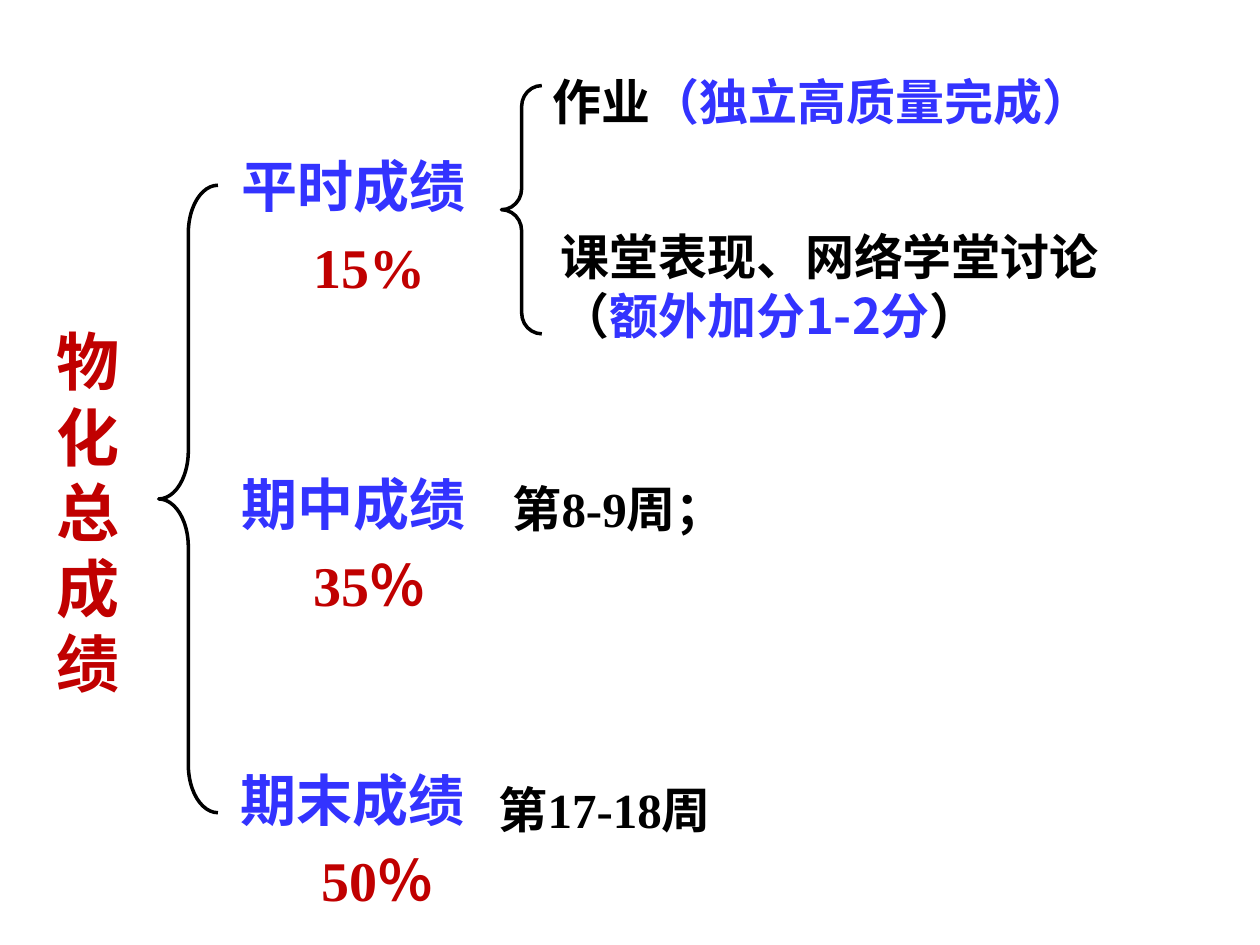
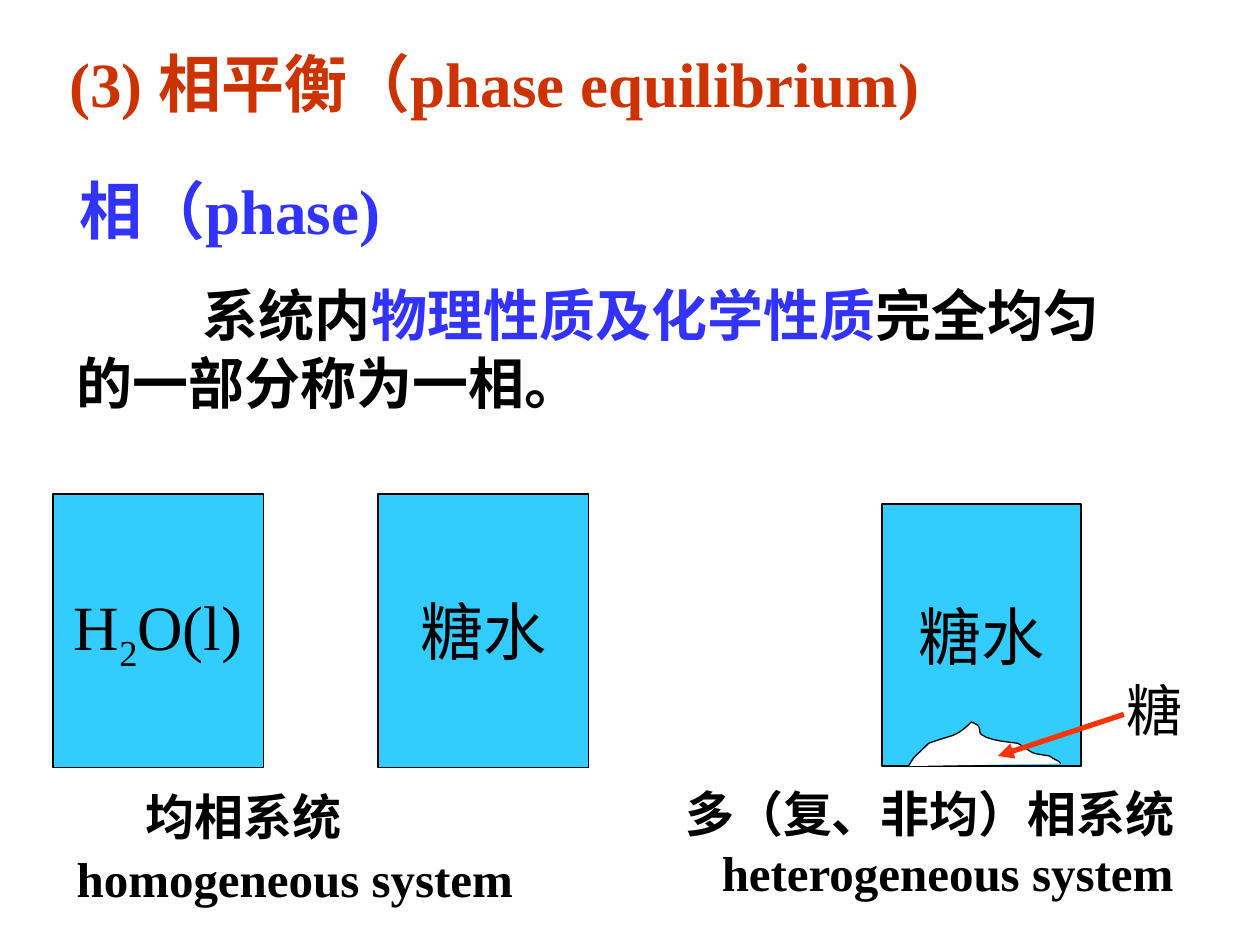
from dataclasses import dataclass

from lxml import etree
from pptx import Presentation
from pptx import util as u
from pptx.dml.color import RGBColor
from pptx.enum import shapes, text
from pptx.oxml import ns

COLORS = {
    "black": "000000",
    "white": "FFFFFF",
    "blue": "3333FF",
    "crimson": "C00000",
    "rust": "CC3300",
    "water": "33CCFF",
    "arrow": "FF3300",
}
SANS = "Noto Sans CJK SC"
SERIF = "Times New Roman"
LEFT, CENTER = text.PP_ALIGN.LEFT, text.PP_ALIGN.CENTER


@dataclass
class Run:
    text: str
    size: float = 28
    color: str = "black"
    font: str = SERIF
    bold: bool = True
    baseline: int = 0


@dataclass
class Para:
    runs: list[Run]
    indent: float = 0
    before: float = 0
    align: text.PP_ALIGN = LEFT


@dataclass
class Box:
    left: float
    top: float
    width: float
    height: float

    def lengths(self) -> list[u.Length]:
        return [u.Inches(v) for v in (self.left, self.top, self.width, self.height)]


@dataclass
class Grade:
    name: str
    name_box: Box
    share: str
    share_box: Box


@dataclass
class Beaker:
    box: Box
    runs: list[Run]


GRADES = [
    Grade("平时成绩", Box(1.82, 1.15, 2.42, 0.64), "15%", Box(1.72, 1.8, 2.42, 0.64)),
    Grade("期中成绩", Box(1.82, 3.68, 2.32, 0.64), "35％", Box(1.91, 4.32, 2.05, 0.64)),
    Grade("期末成绩", Box(1.81, 6.03, 2.5, 0.64), "50％", Box(2.01, 6.66, 1.97, 0.64)),
]
DETAILS = [
    (Box(3.97, 3.75, 1.81, 0.57),
     [Run("第", font=SANS), Run("8-9"), Run("周；", font=SANS)]),
    (Box(3.86, 6.14, 2.84, 0.57),
     [Run("第", font=SANS), Run("17-18"), Run("周", font=SANS)]),
    (Box(4.29, 0.52, 5.12, 0.57),
     [Run("作业", font=SANS), Run("（独立高质量完成）", color="blue", font=SANS)]),
    (Box(4.35, 1.75, 5.2, 1.04),
     [Run("课堂表现、网络学堂讨论（", font=SANS),
      Run("额外加分1-2分", color="blue", font=SANS), Run("）", font=SANS)]),
]
BRACES = [(Box(3.98, 0.68, 0.32, 1.97), 0.52), (Box(1.26, 1.47, 0.47, 4.98), 0.81)]

SUGAR_WATER = [Run("糖水", 36, bold=False)]
BEAKERS = [
    Beaker(Box(0.42, 3.92, 1.67, 2.17),
           [Run("H", 36, bold=False), Run("2", 36, bold=False, baseline=-25000),
            Run("O(l)", 36, bold=False)]),
    Beaker(Box(3, 3.92, 1.67, 2.17), SUGAR_WATER),
    Beaker(Box(7, 4, 1.58, 2.08), SUGAR_WATER),
]
SUGAR_START = (7.21, 6.08)
SUGAR_CURVES = [
    ((7.28, 5.97), (7.23, 6.04), (7.37, 5.9)),
    ((7.39, 5.89), (7.52, 5.85), (7.52, 5.85)),
    ((7.6, 5.83), (7.65, 5.79), (7.71, 5.73)),
    ((7.73, 5.74), (7.76, 5.75), (7.77, 5.77)),
    ((7.78, 5.79), (7.77, 5.82), (7.79, 5.83)),
    ((7.85, 5.88), (8.02, 5.89), (8.08, 5.9)),
    ((8.24, 6), (8.16, 5.97), (8.33, 6)),
    ((8.4, 6.05), (8.38, 6.02), (8.42, 6.06)),
]


def rgb(name: str) -> RGBColor:
    return RGBColor.from_string(COLORS[name])


def write(sp, paras: list[Para], anchor=text.MSO_ANCHOR.TOP) -> None:
    tf = sp.text_frame
    tf.word_wrap = True
    tf.auto_size = text.MSO_AUTO_SIZE.NONE
    tf.vertical_anchor = anchor
    for i, para in enumerate(paras):
        p = tf.add_paragraph() if i else tf.paragraphs[0]
        pPr = p._p.get_or_add_pPr()
        pPr.set("marL", "0")
        pPr.set("indent", str(u.Inches(para.indent)))
        etree.SubElement(pPr, ns.qn("a:buNone"))
        p.alignment = para.align
        p.space_before = u.Pt(para.before)
        for run in para.runs:
            r = p.add_run()
            r.text = run.text
            r.font.size = u.Pt(run.size)
            r.font.bold = run.bold
            r.font.color.rgb = rgb(run.color)
            r.font.name = run.font
            rPr = r._r.get_or_add_rPr()
            etree.SubElement(rPr, ns.qn("a:ea")).set("typeface", SANS)
            if run.baseline:
                rPr.set("baseline", str(run.baseline))


def add_text(s, box: Box, *paras: Para) -> None:
    write(s.shapes.add_textbox(*box.lengths()), list(paras))


def fill_placeholder(sp, box: Box, *paras: Para) -> None:
    sp.left, sp.top, sp.width, sp.height = box.lengths()
    write(sp, list(paras))


def outline(sp, width: float) -> None:
    sp.shadow.inherit = False
    sp.line.color.rgb = rgb("black")
    sp.line.width = u.Pt(width)


def fill(sp, color: str) -> None:
    sp.fill.solid()
    sp.fill.fore_color.rgb = rgb(color)


def add_brace(s, box: Box, curl: float) -> None:
    sp = s.shapes.add_shape(shapes.MSO_SHAPE.LEFT_BRACE, *box.lengths())
    sp.adjustments[0] = curl
    sp.fill.background()
    outline(sp, 2)


def add_beaker(s, beaker: Beaker) -> None:
    sp = s.shapes.add_shape(shapes.MSO_SHAPE.RECTANGLE, *beaker.box.lengths())
    fill(sp, "water")
    outline(sp, 0.75)
    write(sp, [Para(beaker.runs, align=CENTER)], text.MSO_ANCHOR.MIDDLE)


def add_sugar(s, steps: int = 6) -> None:
    points = [SUGAR_START]
    for b, c, d in SUGAR_CURVES:
        a = points[-1]
        for k in range(1, steps + 1):
            t = k / steps
            weights = ((1 - t) ** 3, 3 * t * (1 - t) ** 2, 3 * t * t * (1 - t), t ** 3)
            points.append(tuple(sum(w * q[axis] for w, q in zip(weights, (a, b, c, d)))
                                for axis in (0, 1)))
    spots = [(u.Inches(x), u.Inches(y)) for x, y in points]
    builder = s.shapes.build_freeform(*spots[0])
    builder.add_line_segments(spots[1:], close=False)
    sp = builder.convert_to_shape()
    fill(sp, "white")
    outline(sp, 0.75)


def add_arrow(s, start: tuple[float, float], end: tuple[float, float]) -> None:
    cx = s.shapes.add_connector(shapes.MSO_CONNECTOR.STRAIGHT,
                                *(u.Inches(v) for v in start + end))
    cx.line.color.rgb = rgb("arrow")
    cx.line.width = u.Pt(3)
    etree.SubElement(cx.line._get_or_add_ln(), ns.qn("a:tailEnd")).set("type", "triangle")
    etree.SubElement(cx._element.spPr, ns.qn("a:effectLst"))


def build_grades(prs) -> None:
    s = prs.slides.add_slide(prs.slide_layouts[5])
    fill_placeholder(s.shapes.title, Box(0.35, 2.51, 0.75, 3.1),
                     Para([Run("物化总成绩", 36, "crimson", SANS)]))
    for grade in GRADES:
        add_text(s, grade.name_box, Para([Run(grade.name, 32, "blue", SANS)]))
        add_text(s, grade.share_box,
                 Para([Run(grade.share, 32, "crimson")], align=CENTER))
    for box, runs in DETAILS:
        add_text(s, box, Para(runs))
    for box, curl in BRACES:
        add_brace(s, box, curl)


def build_phases(prs) -> None:
    s = prs.slides.add_slide(prs.slide_layouts[1])
    fill_placeholder(s.shapes.title, Box(0.45, 0.3, 8, 0.7),
                     Para([Run("(3) 相平衡（phase equilibrium)", 36, "rust")]))
    add_text(s, Box(0.53, 1.31, 3, 0.7), Para([Run("相（phase)", 36, "blue")]))
    fill_placeholder(
        s.placeholders[1], Box(0.51, 2.18, 8.6, 1.17),
        Para([Run("系统内", 32), Run("物理性质及化学性质", 32, "blue"),
              Run("完全均匀", 32)], indent=1),
        Para([Run("的一部分称为一相。", 32)]))
    for beaker in BEAKERS:
        add_beaker(s, beaker)
    add_sugar(s)
    add_text(s, Box(8.84, 5.31, 0.75, 0.64), Para([Run("糖", 32, bold=False)]))
    add_arrow(s, (8.92, 5.67), (7.92, 6))
    add_text(s, Box(0.51, 6.19, 4.55, 1.06),
             Para([Run("均相系统")], indent=0.55),
             Para([Run("homogeneous system")], before=2))
    add_text(s, Box(5.34, 6.17, 4.3, 1.04),
             Para([Run("多（复、非均）相系统")]),
             Para([Run("heterogeneous system")], indent=0.29))


def main() -> None:
    prs = Presentation()
    prs.slide_width, prs.slide_height = u.Inches(10), u.Inches(7.5)
    build_grades(prs)
    build_phases(prs)
    prs.save("out.pptx")


if __name__ == "__main__":
    main()
